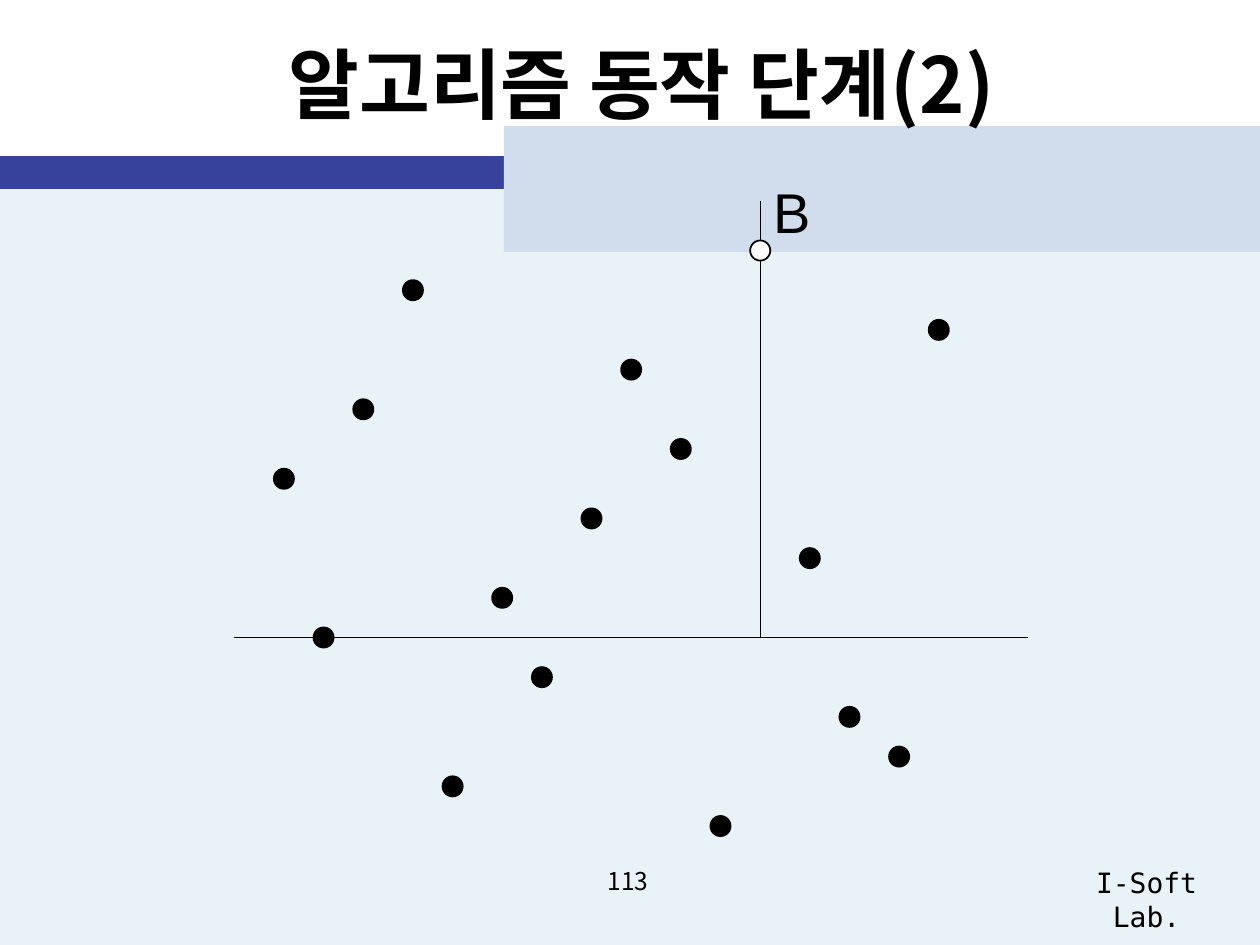
import math

from lxml import etree
from pptx import Presentation
from pptx import util as u
from pptx.dml.color import RGBColor
from pptx.enum import shapes, text
from pptx.oxml.ns import qn

W, H = 10, 7.5
COLORS = {"page": "E8F2F7", "bar": "36429B", "tab": "D1DDEC",
          "ink": "000000", "hollow": "FFFFFF"}
KOREAN = "Noto Sans CJK KR"

# Plot grid: origin at the left end of the base line, rows counted upwards
X0, Y0, STEP, DOT = 1.86, 5.06, 0.07875, 0.16
BASE_COLS, SPLIT_COL, SPLIT_ROWS = 80, 53, 44
POINT_B = (SPLIT_COL, 39)
POINTS = [(5, 16), (9, 0), (13, 23), (18, 35), (22, -15), (27, 4), (31, -4),
          (36, 12), (40, 27), (45, 19), (49, -19), (58, 8), (62, -8),
          (67, -12), (71, 31)]


def rgb(name):
    return RGBColor.from_string(COLORS[name])


def grid(col, row):
    """Slide position in inches of a plot grid point."""
    return X0 + col * STEP, Y0 - row * STEP


def paint(sp, fill, line=None):
    sp.shadow.inherit = False
    sp.fill.solid()
    sp.fill.fore_color.rgb = rgb(fill)
    if line:
        sp.line.color.rgb = rgb(line)
        sp.line.width = u.Pt(1)
    else:
        sp.line.fill.background()


def add_band(s, top, height):
    return s.shapes.add_shape(shapes.MSO_SHAPE.RECTANGLE, 0, u.Inches(top),
                              u.Inches(W), u.Inches(height))


def add_tab(s, left, top, height, cap):
    """Band that runs off to the right edge, with an elliptical left end."""
    r = height / 2
    angles = [math.radians(a) for a in range(90, 271, 6)]
    end = [(left + cap + cap * math.cos(a), top + r - r * math.sin(a))
           for a in angles]
    fb = s.shapes.build_freeform(W, top, scale=u.Inches(1))
    fb.add_line_segments(end + [(W, top + height)], close=True)
    return fb.convert_to_shape()


def add_text(parent, words, box, size, font=KOREAN, bold=False,
             anchor=text.MSO_ANCHOR.TOP):
    sp = parent.shapes.add_textbox(*map(u.Inches, box))
    tf = sp.text_frame
    tf.word_wrap = True
    tf.vertical_anchor = anchor
    p = tf.paragraphs[0]
    p.alignment = text.PP_ALIGN.CENTER
    r = p.add_run()
    r.text = words
    r.font.name, r.font.size, r.font.bold = font, u.Pt(size), bold
    r.font.color.rgb = rgb("ink")
    ea = etree.SubElement(r.font._element, qn("a:ea"))
    ea.set("typeface", font)


def add_line(parent, start, end):
    ends = [u.Inches(v) for v in (*start, *end)]
    c = parent.shapes.add_connector(shapes.MSO_CONNECTOR.STRAIGHT, *ends)
    c.line.color.rgb = rgb("ink")
    c.line.width = u.Pt(0.75)
    etree.SubElement(c._element.spPr, qn("a:effectLst"))


def add_dot(parent, point, fill):
    x, y = grid(*point)
    sp = parent.shapes.add_shape(
        shapes.MSO_SHAPE.OVAL, u.Inches(x - DOT / 2), u.Inches(y - DOT / 2),
        u.Inches(DOT), u.Inches(DOT))
    paint(sp, fill, "ink")


def add_plot(s):
    g = s.shapes.add_group_shape()
    add_line(g, grid(0, 0), grid(BASE_COLS, 0))
    add_line(g, grid(SPLIT_COL, 0), grid(SPLIT_COL, SPLIT_ROWS))
    for point in POINTS:
        add_dot(g, point, "ink")
    add_dot(g, POINT_B, "hollow")
    add_text(g, "B", (grid(*POINT_B)[0], 1.36, 0.5, 0.64), 32, font="Arial")


def main():
    prs = Presentation()
    prs.slide_width, prs.slide_height = u.Inches(W), u.Inches(H)
    s = prs.slides.add_slide(prs.slide_layouts[6])
    paint(add_band(s, 1.4, H - 1.4), "page")
    paint(add_band(s, 1.24, 0.26), "bar")
    paint(add_tab(s, 4.11, 1.35, 0.39, 0.17), "tab")
    add_text(s, "I-Soft Lab.", (8.31, 6.82, 1.58, 0.62), 16,
             font="DejaVu Sans Mono")
    add_text(s, "알고리즘 동작 단계(2)", (0.59, 0.08, 9, 1.15), 44, bold=True,
             anchor=text.MSO_ANCHOR.MIDDLE)
    add_text(s, "113", (3.82, 6.82, 2.33, 0.52), 14)
    add_plot(s)
    prs.save("out.pptx")


if __name__ == "__main__":
    main()
